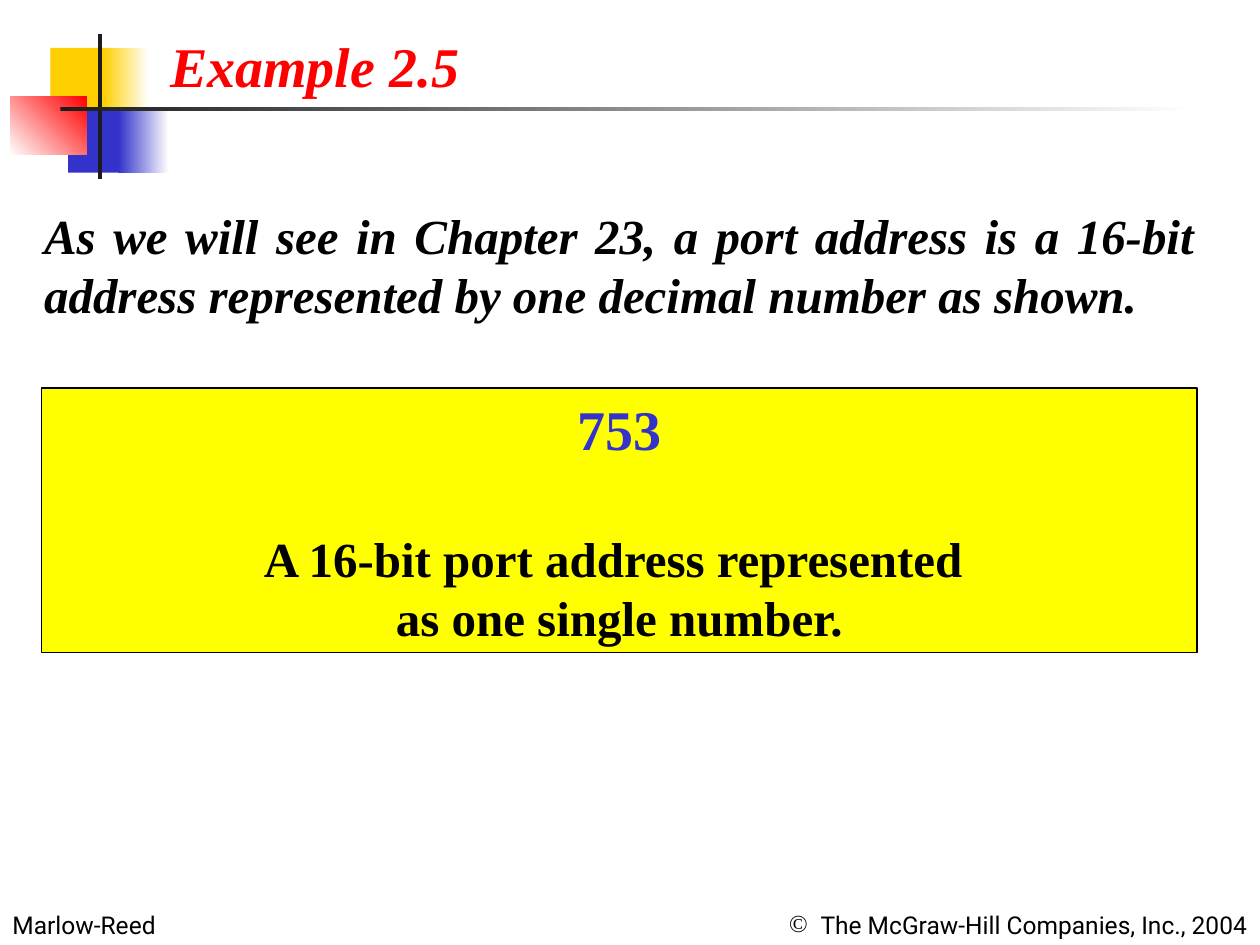
import pptx
import pptx.dml.color
import pptx.enum.shapes
import pptx.enum.text
import pptx.oxml
import pptx.oxml.ns
import pptx.util

ALIGN = pptx.enum.text.PP_ALIGN
SERIF, SANS = "Times New Roman", "Roboto"
BLACK, WHITE, DARK = "000000", "FFFFFF", "1C1C1C"
RED, GOLD, BLUE, YELLOW = "FF0000", "FFCF01", "3333CC", "FFFF00"


def color(value):
    return pptx.dml.color.RGBColor.from_string(value)


class SlideBuilder:
    """Places elements on a grid of 100 columns by 75 rows."""

    COLUMNS, ROWS = 100, 75

    def __init__(self, presentation, layout):
        self.column = presentation.slide_width / self.COLUMNS
        self.row = presentation.slide_height / self.ROWS
        self.slide = presentation.slides.add_slide(presentation.slide_layouts[layout])

    def box(self, left, top, width, height):
        return (round(left * self.column), round(top * self.row),
                round(width * self.column), round(height * self.row))

    def rectangle(self, area, start, end=None, angle=0):
        """Add a plain rectangle, or a gradient one when an end colour is given."""
        shape = self.slide.shapes.add_shape(
            pptx.enum.shapes.MSO_SHAPE.RECTANGLE, *self.box(*area))
        shape.shadow.inherit = False
        shape.line.fill.background()
        if end is None:
            shape.fill.solid()
            shape.fill.fore_color.rgb = color(start)
        else:
            shape.fill.gradient()
            shape.fill.gradient_angle = angle
            for stop, value in zip(shape.fill.gradient_stops, (start, end)):
                stop.color.rgb = color(value)
        return shape

    def placeholder(self, index, area):
        shape = self.slide.placeholders[index]
        shape.left, shape.top, shape.width, shape.height = self.box(*area)
        return shape

    def textbox(self, area):
        return self.slide.shapes.add_textbox(*self.box(*area))

    def set_text(self, shape, paragraphs, wrap=True):
        """Fill a shape with (text, style) pairs, one per paragraph."""
        frame = shape.text_frame
        frame.word_wrap = wrap
        frame.auto_size = pptx.enum.text.MSO_AUTO_SIZE.NONE
        frame.vertical_anchor = pptx.enum.text.MSO_ANCHOR.TOP
        for number, (text, style) in enumerate(paragraphs):
            paragraph = frame.add_paragraph() if number else frame.paragraphs[0]
            paragraph.text = text
            self.style_paragraph(paragraph, **style)

    def style_paragraph(self, paragraph, size, font=SERIF, fill=BLACK, bold=True,
                        italic=False, align=ALIGN.LEFT, before=0, bullet=None):
        paragraph.alignment = align
        paragraph.space_before = pptx.util.Pt(before)
        self.set_bullet(paragraph, bullet)
        paragraph.font.name = font
        paragraph.font.size = pptx.util.Pt(size)
        paragraph.font.bold = bold
        paragraph.font.italic = italic
        paragraph.font.color.rgb = color(fill)

    def set_bullet(self, paragraph, character):
        indent = round(2.5 * self.column) if character else 0
        properties = paragraph._p.get_or_add_pPr()
        properties.set("marL", str(indent))
        properties.set("indent", str(-indent))
        tags = ([("buFont", "typeface", SERIF), ("buChar", "char", character)]
                if character else [("buNone", None, None)])
        for tag, name, value in tags:
            element = pptx.oxml.parse_xml(
                f'<a:{tag} {pptx.oxml.ns.nsdecls("a")}/>')
            if name:
                element.set(name, value)
            properties.append(element)


def main():
    presentation = pptx.Presentation()
    presentation.slide_width = pptx.util.Inches(10)
    presentation.slide_height = pptx.util.Inches(7.5)
    builder = SlideBuilder(presentation, layout=1)

    footer = dict(size=14, font=SANS, bold=False)
    builder.set_text(builder.textbox((0, 71.7, 24.2, 3.4)), [("Marlow-Reed", footer)])
    builder.set_text(builder.textbox((50, 71.7, 50, 3.4)), [
        ("The McGraw-Hill Companies, Inc., 2004",
         dict(footer, align=ALIGN.RIGHT, bullet="©"))])

    for area, *fill in (
        ((4, 3.8, 4.8, 5.2), GOLD),
        ((8.2, 3.8, 3.6, 5.2), GOLD, WHITE),
        ((5.4, 8.5, 4.6, 5.2), BLUE),
        ((9.4, 8.5, 4, 5.2), BLUE, WHITE),
        ((0.8, 7.7, 6.1, 4.6), WHITE, RED, 45),
        ((7.8, 2.7, 0.3, 11.5), DARK),
        ((4.8, 8.5, 90, 0.3), DARK, WHITE),
    ):
        builder.rectangle(area, *fill)

    builder.set_text(builder.placeholder(0, (12.5, 2, 25, 6.4)), [
        ("Example 2.5", dict(size=32, fill=RED, italic=True))], wrap=False)
    builder.set_text(builder.placeholder(1, (2.5, 15.8, 93.3, 10.4)), [
        ("As we will see in Chapter 23, a port address is a 16-bit address "
         "represented by one decimal number as shown.",
         dict(size=28, italic=True, align=ALIGN.JUSTIFY))])

    panel = builder.rectangle((3.3, 30.8, 91.7, 21), YELLOW)
    panel.line.color.rgb = color(BLACK)
    panel.line.width = pptx.util.Pt(0.75)
    builder.set_text(panel, [
        ("753", dict(size=32, fill=BLUE, align=ALIGN.CENTER)),
        ("A 16-bit port address represented \vas one single number.",
         dict(size=28, align=ALIGN.CENTER, before=38.5))])

    presentation.save("out.pptx")


if __name__ == "__main__":
    main()
